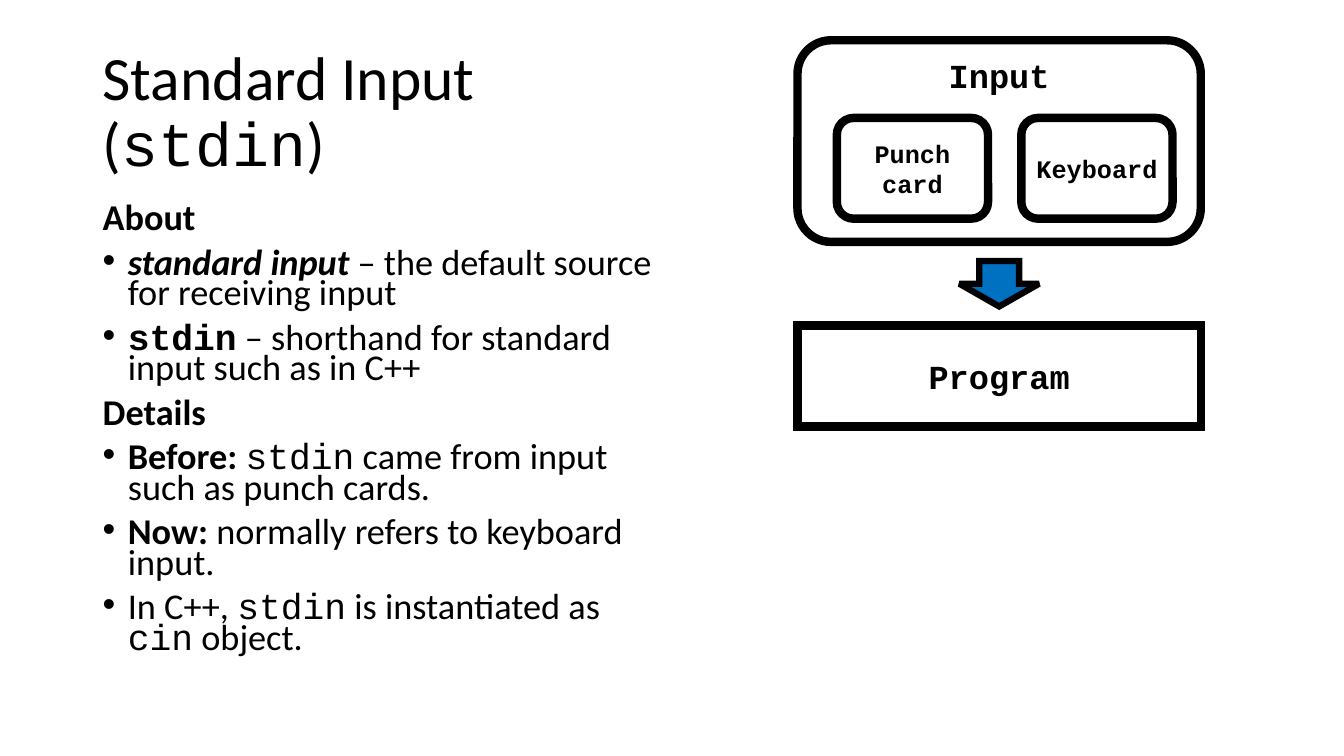
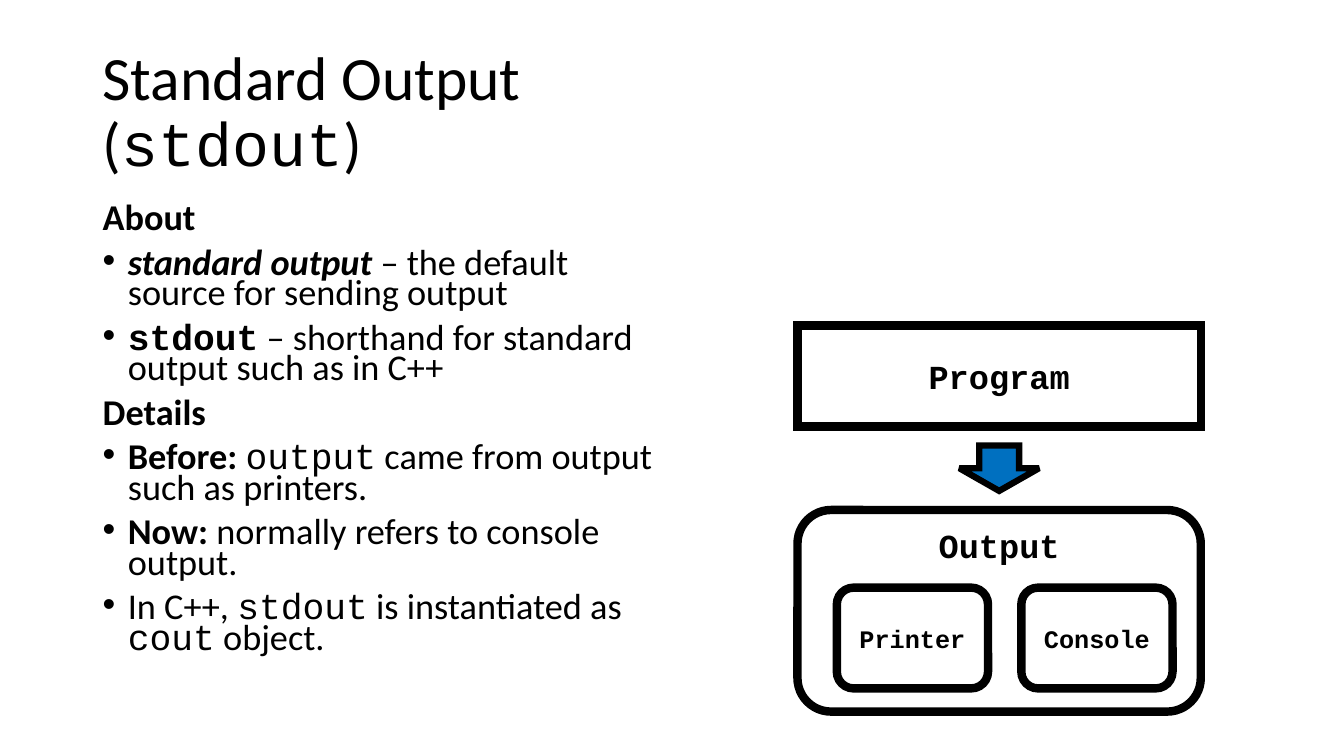
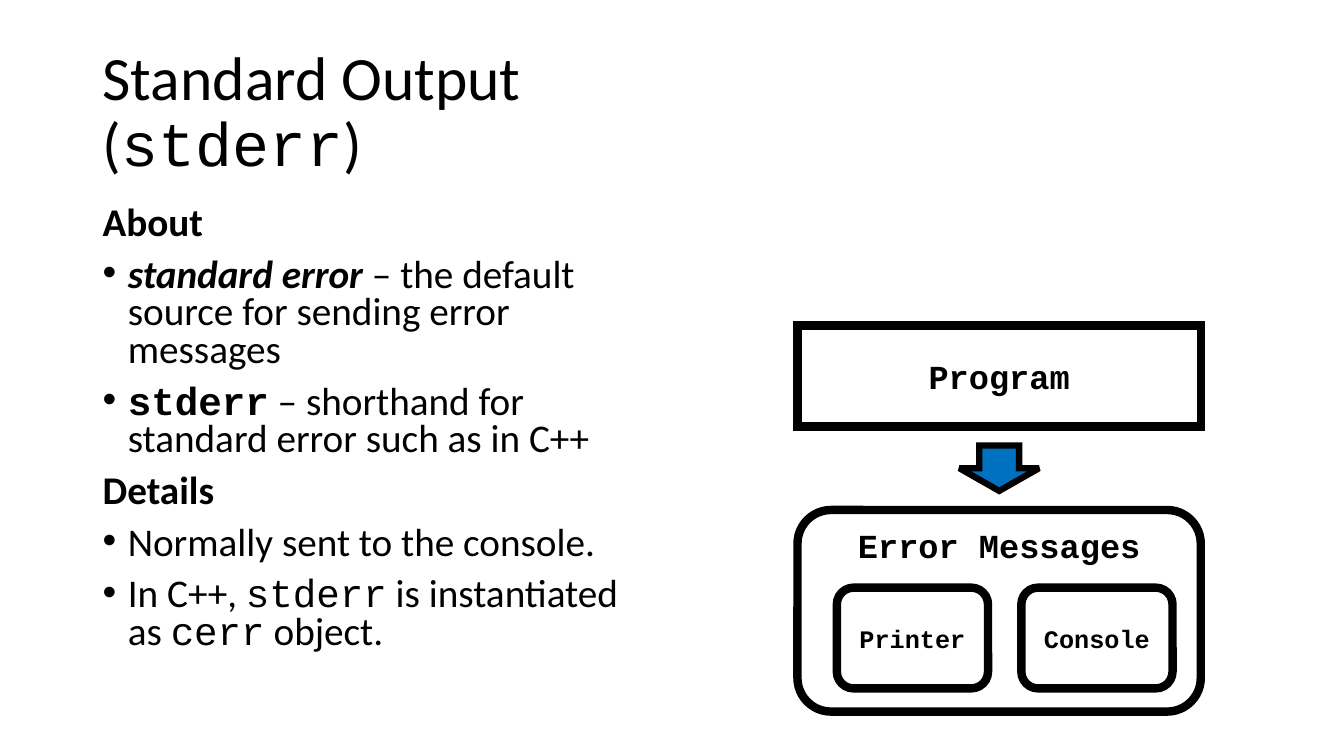
from dataclasses import dataclass

import lxml.etree
import pptx
import pptx.dml.color
import pptx.enum.shapes
import pptx.enum.text
import pptx.oxml.ns
import pptx.presentation
import pptx.shapes.autoshape
import pptx.slide
import pptx.text.text
import pptx.util

Shape = pptx.enum.shapes.MSO_SHAPE
Anchor = pptx.enum.text.MSO_ANCHOR
Align = pptx.enum.text.PP_ALIGN

BLACK, WHITE, BLUE = "000000", "FFFFFF", "0070C0"
TEXT_FONT, CODE_FONT = "Calibri", "Courier New"
PLAIN = {"name": TEXT_FONT, "bold": False, "italic": False}
BOLD = PLAIN | {"bold": True}
TERM = BOLD | {"italic": True}
CODE = PLAIN | {"name": CODE_FONT}
BOLD_CODE = CODE | {"bold": True}

SLIDE_WIDTH, SLIDE_HEIGHT = 13.33, 7.5
TEXT_LEFT, TEXT_WIDTH = 0.92, 5.67
BULLET_INDENT = 0.25
DIAGRAM_LEFT, DIAGRAM_WIDTH = 7.91, 4
PROGRAM_TOP, PROGRAM_HEIGHT = 3.23, 1
STREAM_HEIGHT = 2
DIAGRAM_GAP = 0.83
ARROW_WIDTH, ARROW_HEIGHT = 0.79, 0.45
DEVICE_LEFT, DEVICE_TOP, DEVICE_PITCH = 0.39, 0.77, 1.83
DEVICE_WIDTH, DEVICE_HEIGHT = 1.5, 1

Run = tuple[str, dict]


@dataclass
class Box:
    left: float
    top: float
    width: float
    height: float

    def lengths(self) -> list[int]:
        return [pptx.util.Inches(value)
                for value in (self.left, self.top, self.width, self.height)]


@dataclass
class Stream:
    title: str
    handle: str
    term: str
    definition: str
    shorthand: str
    cpp_object: str
    details: list[list[Run]]
    label: str
    devices: tuple[str, ...]
    feeds_program: bool = False
    size: float = 25.9
    line_spacing: float = 0.7


STREAMS = [
    Stream("Standard Input", "stdin", "standard input",
           "the default source for receiving input",
           "standard input", "cin",
           [[("Before: ", BOLD), ("stdin", CODE),
             (" came from input such as punch cards.", PLAIN)],
            [("Now:", BOLD), (" normally refers to keyboard input.", PLAIN)]],
           "Input", ("Punch\ncard", "Keyboard"), feeds_program=True),
    Stream("Standard Output", "stdout", "standard output",
           "the default source for sending output",
           "standard output", "cout",
           [[("Before: ", BOLD), ("output", CODE),
             (" came from output such as printers.", PLAIN)],
            [("Now:", BOLD), (" normally refers to console output.", PLAIN)]],
           "Output", ("Printer", "Console")),
    Stream("Standard Output", "stderr", "standard error",
           "the default source for sending error messages",
           "standard error", "cerr",
           [[("Normally sent to the console.", PLAIN)]],
           "Error Messages", ("Printer", "Console"),
           size=28, line_spacing=0.8),
]


def color(value: str) -> pptx.dml.color.RGBColor:
    return pptx.dml.color.RGBColor.from_string(value)


def add_run(paragraph: pptx.text.text._Paragraph, text: str, size: float,
            style: dict) -> None:
    run = paragraph.add_run()
    run.text = text
    for name, value in (style | {"size": pptx.util.Pt(size)}).items():
        setattr(run.font, name, value)
    run.font.color.rgb = color(BLACK)


def add_bullet(paragraph: pptx.text.text._Paragraph) -> None:
    properties = paragraph._p.get_or_add_pPr()
    indent = pptx.util.Inches(BULLET_INDENT)
    properties.set("marL", str(indent))
    properties.set("indent", str(-indent))
    for tag, name, value in (("a:buFont", "typeface", "Arial"),
                             ("a:buChar", "char", "•")):
        lxml.etree.SubElement(properties, pptx.oxml.ns.qn(tag)).set(name, value)


def add_text(slide: pptx.slide.Slide, box: Box, rows: list[list[Run]],
             size: float, line_spacing: float, anchor: Anchor) -> None:
    """Write rows of runs; rows that are not a lone bold heading get a bullet
    when there is more than one row."""
    frame = slide.shapes.add_textbox(*box.lengths()).text_frame
    frame.word_wrap = True
    frame.vertical_anchor = anchor
    for index, runs in enumerate(rows):
        paragraph = frame.add_paragraph() if index else frame.paragraphs[0]
        is_heading = len(runs) == 1 and runs[0][1] == BOLD
        if len(rows) > 1 and not is_heading:
            add_bullet(paragraph)
        paragraph.line_spacing = line_spacing
        paragraph.space_before = pptx.util.Pt(10 if index else 0)
        for text, style in runs:
            add_run(paragraph, text, size, style)


def add_block(slide: pptx.slide.Slide, kind: Shape, box: Box, label: str = "",
              size: float = 24, anchor: Anchor = Anchor.MIDDLE,
              fill: str = WHITE, line_width: float = 6) -> None:
    shape = slide.shapes.add_shape(kind, *box.lengths())
    shape.shadow.inherit = False
    shape.fill.solid()
    shape.fill.fore_color.rgb = color(fill)
    shape.line.color.rgb = color(BLACK)
    shape.line.width = pptx.util.Pt(line_width)
    outline = shape.element.spPr.find(pptx.oxml.ns.qn("a:ln"))
    lxml.etree.SubElement(outline, pptx.oxml.ns.qn("a:miter")).set("lim", "800000")
    frame = shape.text_frame
    frame.word_wrap = True
    frame.vertical_anchor = anchor
    for index, text in enumerate(label.split("\n") if label else []):
        paragraph = frame.add_paragraph() if index else frame.paragraphs[0]
        paragraph.alignment = Align.CENTER
        add_run(paragraph, text, size, BOLD_CODE)


def add_diagram(slide: pptx.slide.Slide, stream: Stream) -> None:
    """Draw the program with its stream above (input) or below (output)."""
    if stream.feeds_program:
        gap_top = PROGRAM_TOP - DIAGRAM_GAP
        stream_top = gap_top - STREAM_HEIGHT
    else:
        gap_top = PROGRAM_TOP + PROGRAM_HEIGHT
        stream_top = gap_top + DIAGRAM_GAP
    add_block(slide, Shape.RECTANGLE,
              Box(DIAGRAM_LEFT, PROGRAM_TOP, DIAGRAM_WIDTH, PROGRAM_HEIGHT),
              "Program")
    add_block(slide, Shape.ROUNDED_RECTANGLE,
              Box(DIAGRAM_LEFT, stream_top, DIAGRAM_WIDTH, STREAM_HEIGHT),
              stream.label, anchor=Anchor.TOP)
    for column, device in enumerate(stream.devices):
        left = DIAGRAM_LEFT + DEVICE_LEFT + column * DEVICE_PITCH
        add_block(slide, Shape.ROUNDED_RECTANGLE,
                  Box(left, stream_top + DEVICE_TOP, DEVICE_WIDTH, DEVICE_HEIGHT),
                  device, size=18)
    add_block(slide, Shape.DOWN_ARROW,
              Box(DIAGRAM_LEFT + (DIAGRAM_WIDTH - ARROW_WIDTH) / 2,
                  gap_top + (DIAGRAM_GAP - ARROW_HEIGHT) / 2,
                  ARROW_WIDTH, ARROW_HEIGHT),
              fill=BLUE, line_width=4.5)


def add_stream_slide(presentation: pptx.presentation.Presentation,
                     stream: Stream) -> None:
    slide = presentation.slides.add_slide(presentation.slide_layouts[6])
    title = [(f"{stream.title} (", PLAIN), (stream.handle, CODE), (")", PLAIN)]
    add_text(slide, Box(TEXT_LEFT, 0.4, TEXT_WIDTH, 1.45), [title],
             44, 0.9, Anchor.MIDDLE)
    rows = [
        [("About", BOLD)],
        [(stream.term, TERM), (f" – {stream.definition}", PLAIN)],
        [(stream.handle, BOLD_CODE),
         (f" – shorthand for {stream.shorthand} such as in C++", PLAIN)],
        [("Details", BOLD)],
        *stream.details,
        [("In C++, ", PLAIN), (stream.handle, CODE),
         (" is instantiated as ", PLAIN), (stream.cpp_object, CODE),
         (" object.", PLAIN)],
    ]
    add_text(slide, Box(TEXT_LEFT, 2, TEXT_WIDTH, 4.76), rows,
             stream.size, stream.line_spacing, Anchor.TOP)
    add_diagram(slide, stream)


def main() -> None:
    presentation = pptx.Presentation()
    presentation.slide_width = pptx.util.Inches(SLIDE_WIDTH)
    presentation.slide_height = pptx.util.Inches(SLIDE_HEIGHT)
    for stream in STREAMS:
        add_stream_slide(presentation, stream)
    presentation.save("out.pptx")


if __name__ == "__main__":
    main()
